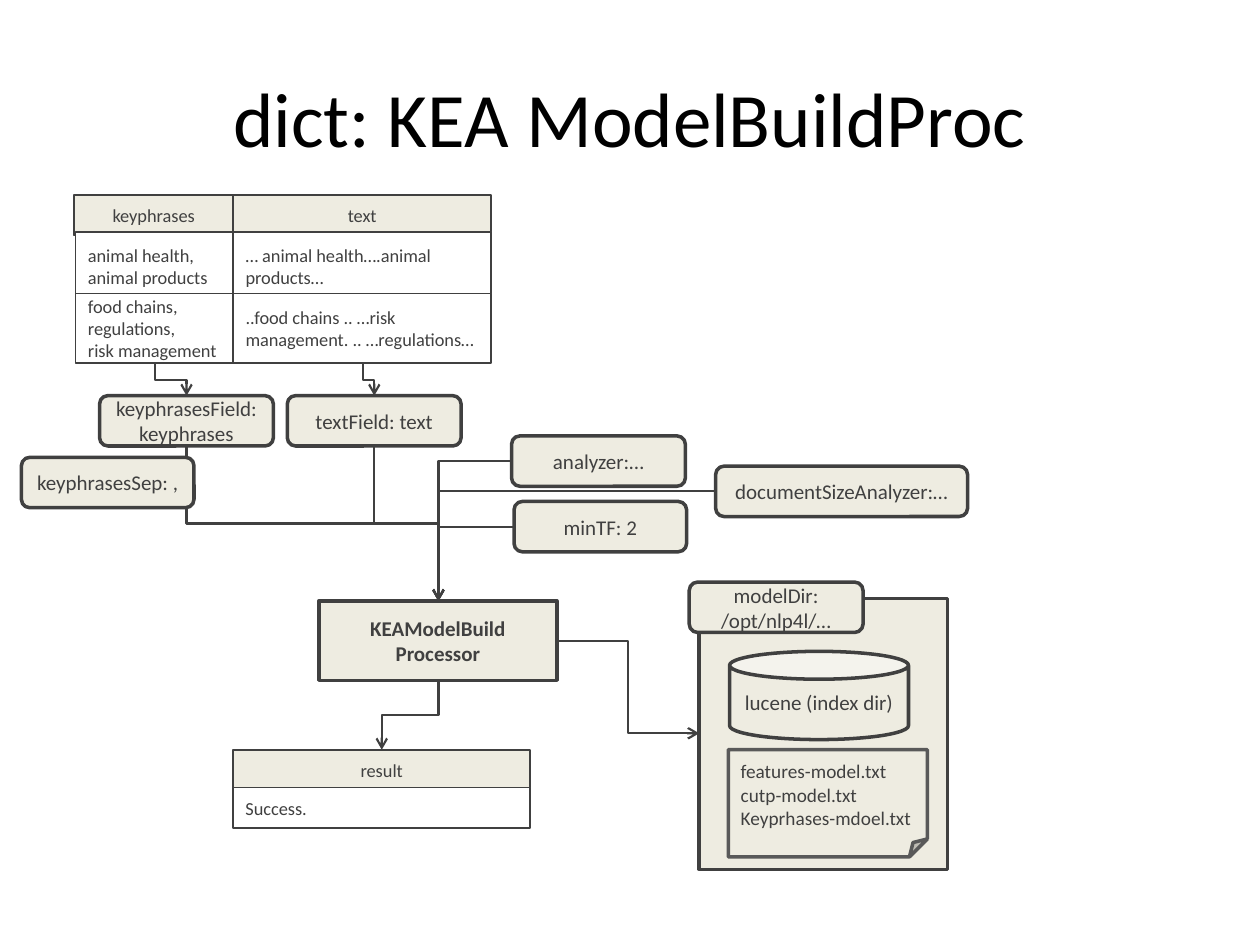
from lxml import etree
from pptx import Presentation
from pptx.dml.color import RGBColor
from pptx.enum.shapes import MSO_CONNECTOR, MSO_SHAPE
from pptx.enum.text import MSO_ANCHOR, PP_ALIGN
from pptx.oxml.ns import qn
from pptx.util import Inches, Pt

BLACK = RGBColor(0x00, 0x00, 0x00)
WHITE = RGBColor(0xFF, 0xFF, 0xFF)
CREAM = RGBColor(0xEE, 0xEC, 0xE1)
DARK = RGBColor(0x40, 0x40, 0x40)
GRAY = RGBColor(0x59, 0x59, 0x59)

RECTANGLE = MSO_SHAPE.RECTANGLE
ROUNDED = MSO_SHAPE.ROUNDED_RECTANGLE
CYLINDER = MSO_SHAPE.CAN
NOTE = MSO_SHAPE.FOLDED_CORNER
ELBOW = MSO_CONNECTOR.ELBOW
LEFT, CENTER = PP_ALIGN.LEFT, PP_ALIGN.CENTER
MIDDLE = MSO_ANCHOR.MIDDLE

TITLE_ONLY = 5
ROTATION_UNIT = 60000


def write_text(shape, text, size=12, color=DARK, bold=False, align=CENTER):
    """Fill a shape with text, one paragraph per line."""
    frame = shape.text_frame
    frame.word_wrap = True
    frame.vertical_anchor = MIDDLE
    for index, line in enumerate(text.split("\n")):
        paragraph = frame.add_paragraph() if index else frame.paragraphs[0]
        paragraph.alignment = align
        run = paragraph.add_run()
        run.text = line
        run.font.name = "Calibri"
        run.font.size = Pt(size)
        run.font.bold = bold
        run.font.color.rgb = color


class Diagram:
    """Hold the slide and the shared look of its elements."""

    def __init__(self, slide):
        """Start drawing on a slide."""
        self.slide = slide

    def title(self, text):
        """Place the slide title."""
        shape = self.slide.shapes.title
        shape.left, shape.top = Inches(0.5), Inches(0.3)
        shape.width, shape.height = Inches(9), Inches(1.25)
        write_text(shape, text, size=44, color=BLACK)

    def box(self, left, top, width, height, text="", kind=RECTANGLE,
            fill=CREAM, line=DARK, weight=2, **text_format):
        """Draw an outlined shape with optional text."""
        shape = self.slide.shapes.add_shape(
            kind, Inches(left), Inches(top), Inches(width), Inches(height))
        shape.shadow.inherit = False
        shape.fill.solid()
        shape.fill.fore_color.rgb = fill
        shape.line.color.rgb = line
        shape.line.width = Pt(weight)
        if text:
            write_text(shape, text, **text_format)
        return shape

    def setting(self, left, top, text, width=1.38):
        """Draw a rounded box for one configuration setting."""
        self.box(left, top, width, 0.4, text, kind=ROUNDED)

    def header(self, left, top, width, text):
        """Draw a column heading."""
        self.box(left, top, width, 0.32, text, weight=1, size=10.5)

    def cell(self, left, top, width, height, text):
        """Draw a white data cell."""
        self.box(left, top, width, height, text, fill=WHITE, weight=1,
                 size=10.5, align=LEFT)

    def arrow(self, start, end, corner=False, downward=False):
        """Draw an elbow arrow: one corner, or two starting across or downward."""
        (x1, y1), (x2, y2) = start, end
        if downward:
            # The elbow is laid out sideways about its middle, then turned.
            middle_x, middle_y = (x1 + x2) / 2, (y1 + y2) / 2
            half_width, half_height = (y2 - y1) / 2, abs(x2 - x1) / 2
            side = 1 if x2 < x1 else -1
            ends = (middle_x - side * half_width, middle_y - half_height,
                    middle_x + side * half_width, middle_y + half_height)
        else:
            ends = (x1, y1, x2, y2)
        connector = self.slide.shapes.add_connector(ELBOW, *map(Inches, ends))
        connector.line.color.rgb = DARK
        connector.line.width = Pt(1.25)
        properties = connector._element.spPr
        if downward:
            angle = 90 if x2 < x1 else 270
            properties.find(qn("a:xfrm")).set("rot", str(angle * ROTATION_UNIT))
        if corner:
            properties.find(qn("a:prstGeom")).set("prst", "bentConnector2")
        etree.SubElement(properties.find(qn("a:ln")), qn("a:tailEnd"), type="arrow")
        etree.SubElement(properties, qn("a:effectLst"))


def build():
    """Build the slide and save it."""
    presentation = Presentation()
    presentation.slide_width, presentation.slide_height = Inches(10), Inches(7.5)
    layout = presentation.slide_layouts[TITLE_ONLY]
    diagram = Diagram(presentation.slides.add_slide(layout))
    processor_top = (3.48, 4.77)

    diagram.box(5.55, 4.75, 1.97, 2.15)
    diagram.title("dict: KEA ModelBuildProc")
    diagram.box(2.53, 4.77, 1.89, 0.63, "KEAModelBuild\nProcessor", bold=True)
    diagram.arrow((4.42, 5.09), (5.55, 5.82))
    index = diagram.box(5.79, 5.17, 1.42, 0.7, "lucene (index dir)", kind=CYLINDER)
    index.adjustments[0] = 0.316

    diagram.setting(2.28, 3.14, "textField: text")
    diagram.setting(0.79, 3.14, "keyphrasesField: keyphrases")
    diagram.arrow((1.23, 2.89), (1.48, 3.14), downward=True)
    diagram.arrow((2.88, 2.89), (2.97, 3.14), downward=True)
    diagram.box(5.78, 5.95, 1.58, 0.85,
                "features-model.txt\ncutp-model.txt\nKeyprhases-mdoel.txt",
                kind=NOTE, line=GRAY, size=11, align=LEFT)

    diagram.header(1.85, 5.95, 2.36, "result")
    diagram.cell(1.85, 6.25, 2.36, 0.32, "Success.")
    diagram.arrow((3.48, 5.4), (3.03, 5.95), downward=True)

    diagram.setting(4.06, 3.46, "analyzer:…")
    for field_x in (1.48, 2.97):
        diagram.arrow((field_x, 3.54), processor_top, downward=True)
    diagram.arrow((4.06, 3.66), processor_top, corner=True)
    diagram.setting(5.47, 4.62, "modelDir: /opt/nlp4l/…")
    diagram.arrow((5.68, 3.9), processor_top, corner=True)

    diagram.header(0.59, 1.55, 1.26, "keyphrases")
    diagram.header(1.85, 1.55, 2.05, "text")
    rows = (
        ("animal health,\nanimal products", "… animal health….animal products…"),
        ("food chains,\nregulations,\nrisk management",
         "..food chains .. …risk management. .. …regulations…"),
    )
    for row, (keyphrases, text) in enumerate(rows):
        top = 1.84 + row * 0.49
        diagram.cell(0.6, top, 1.26, 0.55, keyphrases)
        diagram.cell(1.85, top, 2.05, 0.55, text)

    diagram.setting(0.17, 3.63, "keyphrasesSep: ,", width=1.37)
    diagram.setting(5.68, 3.7, "documentSizeAnalyzer:…", width=2)
    diagram.setting(4.08, 3.98, "minTF: 2", width=1.37)
    diagram.arrow((4.08, 4.18), processor_top, corner=True)

    presentation.save("out.pptx")


build()
